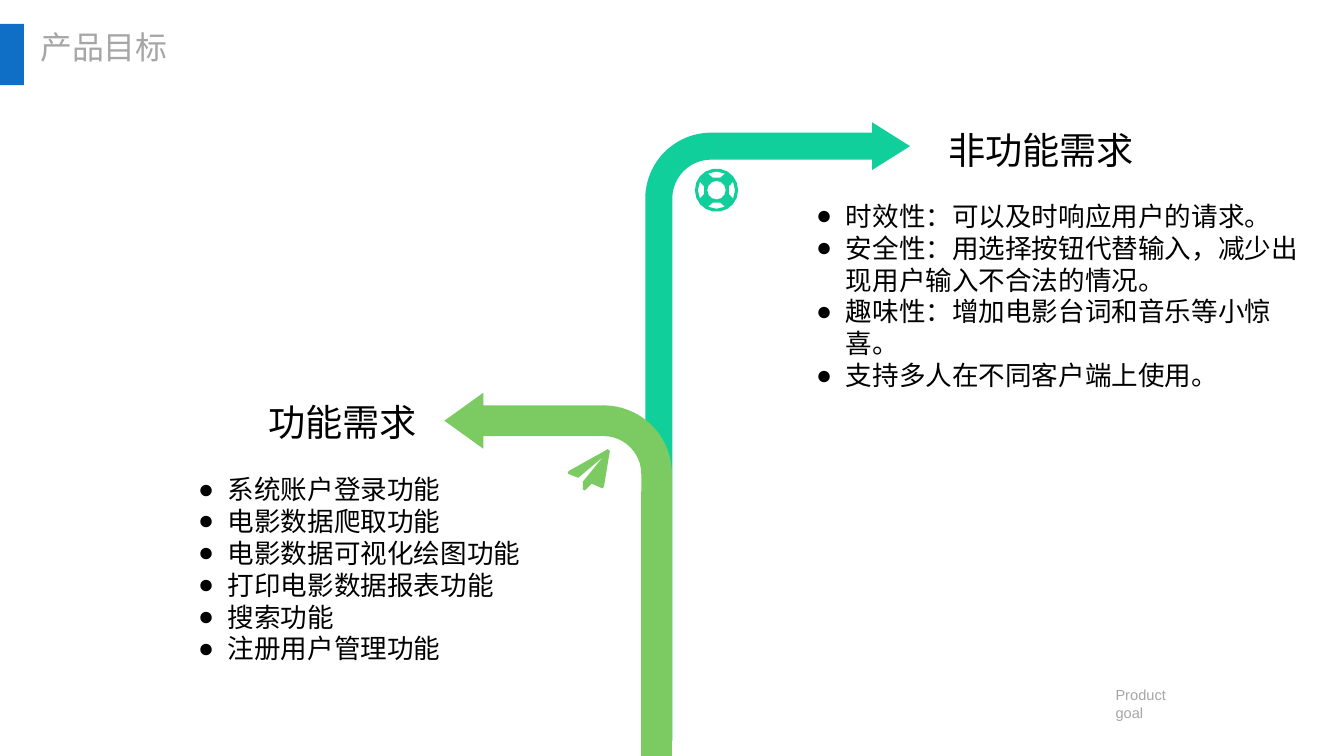
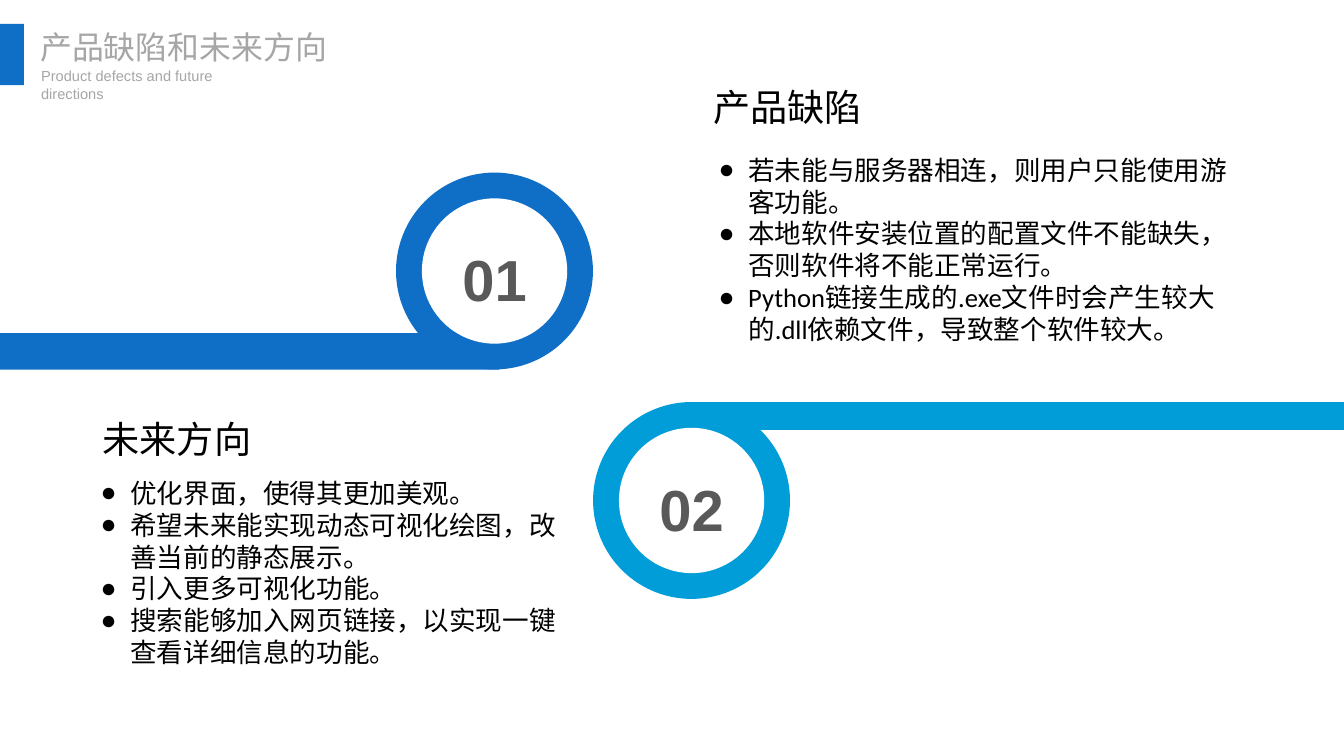
"""Build two slides: product goals, then product defects and future directions."""
from math import cos, radians, sin

from lxml import etree
from pptx import Presentation
from pptx.dml.color import RGBColor
from pptx.enum.shapes import MSO_SHAPE
from pptx.enum.text import MSO_ANCHOR, MSO_AUTO_SIZE, PP_ALIGN
from pptx.oxml.ns import qn
from pptx.util import Inches, Pt

RECT, OVAL, BENT = MSO_SHAPE.RECTANGLE, MSO_SHAPE.OVAL, MSO_SHAPE.BENT_ARROW
MIDDLE, CENTER, GROW = MSO_ANCHOR.MIDDLE, PP_ALIGN.CENTER, MSO_AUTO_SIZE.SHAPE_TO_FIT_TEXT

BLUE = RGBColor(0x0F, 0x6F, 0xC6)
CYAN = RGBColor(0x00, 0x9D, 0xD9)
TEAL = RGBColor(0x10, 0xCF, 0x9B)
GREEN = RGBColor(0x7C, 0xCA, 0x62)
WHITE = RGBColor(0xFF, 0xFF, 0xFF)
BLACK = RGBColor(0, 0, 0)
GRAY = RGBColor(0xA6, 0xA6, 0xA6)
DARK = RGBColor(0x59, 0x59, 0x59)

HEAD = ("Calibri", 28, BLACK)
BODY = ("Calibri", 20, BLACK)
TITLE = ("Noto Sans CJK SC", 24, GRAY)
SUB = ("Arial", 11, GRAY)

deck = Presentation()
deck.slide_width, deck.slide_height = Inches(14.06), Inches(7.91)
COL, ROW = deck.slide_width / 100, deck.slide_height / 100
INDENT = Inches(0.31)


def add_block(slide, kind, place, color):
    x, y, w, h = place
    block = slide.shapes.add_shape(kind, int(x * COL), int(y * ROW), int(w * COL), int(h * ROW))
    block.shadow.inherit = False
    block.fill.solid()
    block.fill.fore_color.rgb = color
    block.line.fill.background()
    return block


def add_text(slide, place, lines, style, bullet=False, inset=True, wrap=True):
    x, y, w, h = place
    frame = slide.shapes.add_textbox(int(x * COL), int(y * ROW), int(w * COL), int(h * ROW)).text_frame
    frame.word_wrap = wrap
    frame.auto_size = GROW
    if not inset:
        frame.margin_left = frame.margin_top = frame.margin_right = frame.margin_bottom = 0
    frame.text = "\n".join(lines)
    face, size, color = style
    for para in frame.paragraphs:
        para.font.name, para.font.size = face, Pt(size)
        para.font.color.rgb = color
        if bullet:
            props = para._p.get_or_add_pPr()
            props.set("marL", str(INDENT))
            props.set("indent", str(-INDENT))
            props.set("hangingPunct", "0")
            props.insert(0, etree.Element(qn("a:buFont"), typeface="Arial"))
            props.insert(1, etree.Element(qn("a:buChar"), char="●"))


heads = [
    ("产品目标", 9.7, "Product goal", (83, 90.77, 6.05, 2.28)),
    ("产品缺陷和未来方向", 21.4, "Product defects and future directions", (3.06, 8.85, 17.5, 2.28)),
]
pages = []
for title, width, sub, place in heads:
    page = deck.slides.add_slide(deck.slide_layouts[6])
    add_block(page, RECT, (0, 3.16, 1.78, 8.09), BLUE)
    add_text(page, (3, 3.67, width, 5.06), [title], TITLE, inset=False, wrap=False)
    add_text(page, place, [sub], SUB, inset=False)
    pages.append(page)
goals, plans = pages

arrows = [
    ((48.01, 16.18, 19.7, 81.8), TEAL, (0.102, 0.09, 0.143, 0.249), False),
    ((33.07, 51.96, 16.93, 48.04), GREEN, (0.135, 0.123, 0.171, 0.301), True),
]
for place, color, bends, flip in arrows:
    arrow = add_block(goals, BENT, place, color)
    for i, bend in enumerate(bends):
        arrow.adjustments[i] = bend
    if flip:
        arrow._element.spPr.xfrm.set("flipH", "1")

fold = [(1, 0.04), (0.86, 0.89), (0.82, 0.93), (0.57, 0.82), (0.41, 0.98), (0.36, 0.96), (0.36, 0.77),
        (0.84, 0.18), (0.25, 0.68), (0.02, 0.59), (0, 0.57), (0.02, 0.52), (0.95, 0)]
plane = [[(42.25 * COL + x * 5.56 * ROW, 59.42 * ROW + y * 5.56 * ROW) for x, y in fold]]

rims = [[(r, a) for a in range(0, 360, step)] for r, step in ((2.86, 20), (1.22, 30))]
for mid in range(0, 360, 90):
    rims.append([(r, mid + a) for r, a in ((2.46, -27), (2.46, 0), (2.46, 27), (1.72, 17), (1.72, -17))])
buoy = [[(53.31 * COL + r * ROW * cos(radians(a)), 25.16 * ROW + r * ROW * sin(radians(a)))
         for r, a in rim] for rim in rims]

for paths, color in ((plane, GREEN), (buoy, TEAL)):
    pen = goals.shapes.build_freeform(*map(int, paths[0][0]))
    for i, points in enumerate(paths):
        if i:
            pen.move_to(*map(int, points[0]))
        pen.add_line_segments([(int(x), int(y)) for x, y in points[1:]], close=True)
    icon = pen.convert_to_shape()
    icon.shadow.inherit = False
    icon.fill.solid()
    icon.fill.fore_color.rgb = color
    icon.line.fill.background()

OUTER, INNER = (14.65, 26.04), (10.81, 19.22)
rings = [
    ("01", BLUE, (29.47, 22.83), (0, 44.08, 37.13, 4.84)),
    ("02", CYAN, (44.13, 53.18), (51.49, 53.18, 48.51, 3.67)),
]
for label, color, (x, y), bar in rings:
    add_block(plans, RECT, bar, color)
    add_block(plans, OVAL, (x, y, *OUTER), color)
    left, top = x + (OUTER[0] - INNER[0]) / 2, y + (OUTER[1] - INNER[1]) / 2
    frame = add_block(plans, OVAL, (left, top, *INNER), WHITE).text_frame
    frame.vertical_anchor = MIDDLE
    frame.margin_top = Inches(0.06)
    frame.text = label
    para = frame.paragraphs[0]
    para.alignment, para.line_spacing = CENTER, 1.2
    para.font.name, para.font.size, para.font.bold = "Arial", Pt(43.6), True
    para.font.color.rgb = DARK

topics = [
    (goals, "功能需求", (19.27, 52.21, 13.02, 7.21), (14.04, 61.95, 27.03, 26.8),
     ["系统账户登录功能", "电影数据爬取功能", "电影数据可视化绘图功能",
      "打印电影数据报表功能", "搜索功能", "注册用户管理功能"]),
    (goals, "非功能需求", (69.84, 16.18, 16.15, 7.21), (60.03, 25.79, 37.91, 22.5),
     ["时效性：可以及时响应用户的请求。",
      "安全性：用选择按钮代替输入，减少出现用户输入不合法的情况。",
      "趣味性：增加电影台词和音乐等小惊喜。",
      "支持多人在不同客户端上使用。"]),
    (plans, "产品缺陷", (52.38, 10.49, 15.93, 7.21), (52.77, 19.7, 40.18, 26.8),
     ["若未能与服务器相连，则用户只能使用游客功能。",
      "本地软件安装位置的配置文件不能缺失，否则软件将不能正常运行。",
      "Python链接生成的.exe文件时会产生较大的.dll依赖文件，导致整个软件较大。"]),
    (plans, "未来方向", (6.94, 54.4, 15.93, 7.21), (6.79, 62.45, 36.34, 26.8),
     ["优化界面，使得其更加美观。",
      "希望未来能实现动态可视化绘图，改善当前的静态展示。",
      "引入更多可视化功能。",
      "搜索能够加入网页链接，以实现一键查看详细信息的功能。"]),
]
for page, head, spot, place, lines in topics:
    add_text(page, spot, [head], HEAD)
    add_text(page, place, lines, BODY, bullet=True)

deck.save("out.pptx")
